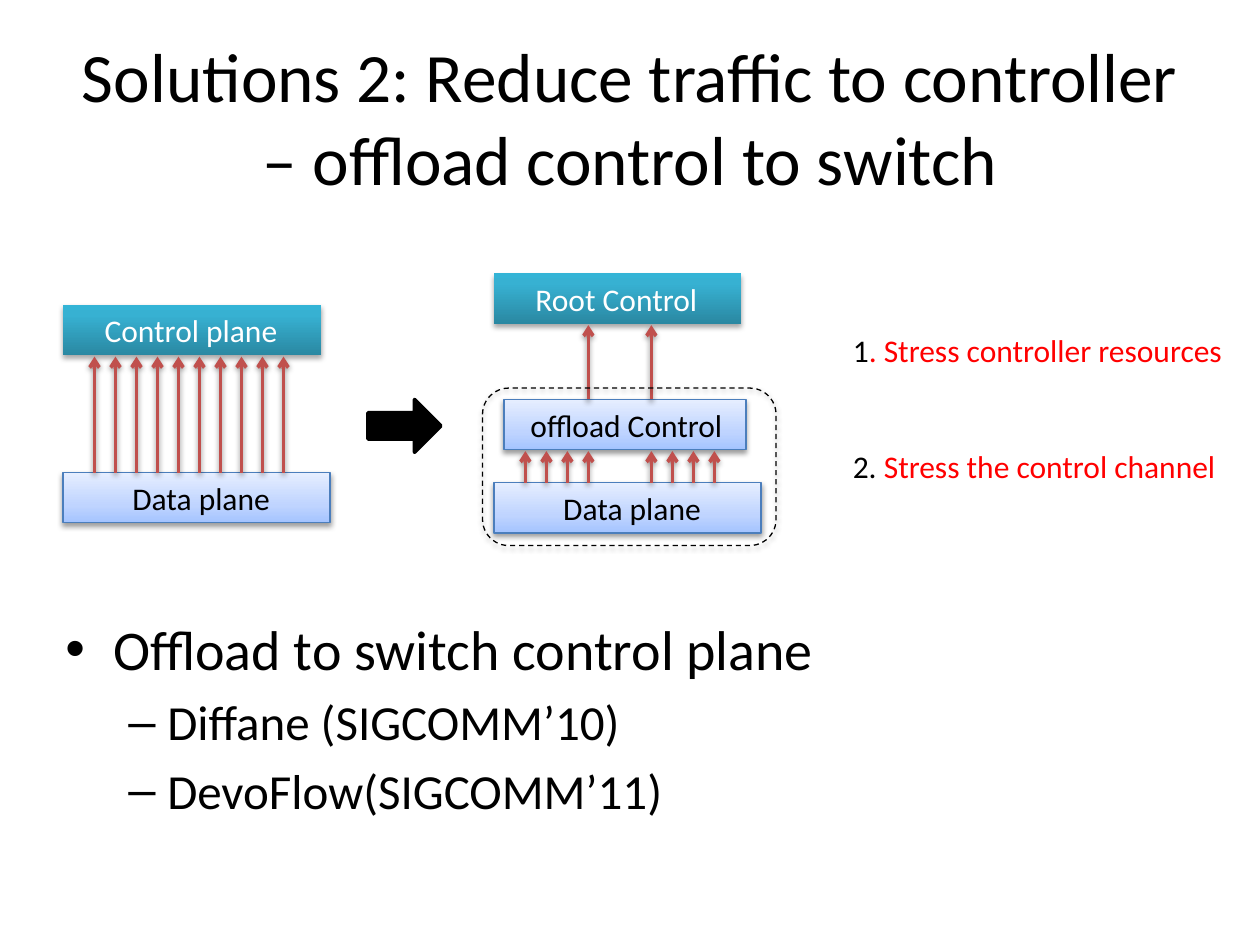
from dataclasses import dataclass

from lxml.etree import SubElement
from pptx import Presentation
from pptx.dml.color import RGBColor
from pptx.enum.dml import MSO_LINE
from pptx.enum.shapes import MSO_CONNECTOR, MSO_SHAPE
from pptx.enum.text import MSO_ANCHOR, PP_ALIGN
from pptx.oxml.ns import qn
from pptx.util import Inches, Pt


@dataclass(frozen=True)
class Theme:
    font: str = "Calibri"
    black: str = "000000"
    white: str = "FFFFFF"
    red: str = "FF0000"
    arrow: str = "C0504D"
    border: str = "4B7EBC"
    title: float = 39.6
    bullet: float = 32
    sub_bullet: float = 28
    label: float = 18


THEME = Theme()


@dataclass(frozen=True)
class PlaneStyle:
    stops: tuple
    text: str
    border: str | None
    shadow_opacity: int
    shadow_distance: float


@dataclass(frozen=True)
class Plane:
    label: str
    left: float
    top: float
    width: float
    indent: float
    style: PlaneStyle


@dataclass(frozen=True)
class ArrowRow:
    first: float
    count: int
    start: float
    end: float
    gap: float = 1 / 6


@dataclass(frozen=True)
class Bullet:
    text: str
    level: int
    mark: str
    margin: float
    hanging: float
    size: float


@dataclass(frozen=True)
class Problem:
    number: str
    text: str
    top: float


CONTROL = PlaneStyle(((0, "2A88A2"), (80, "37B1D2"), (100, "34B4D6")), THEME.white, None, 35, 1.8)
DATA = PlaneStyle(((0, "A4C4FF"), (35, "BFD4FF"), (100, "E6EEFF")), THEME.black, THEME.border, 38, 1.6)

PLANES = (
    Plane("Data plane", 0.5, 3.75, 2.12, 0.55, DATA),
    Plane("Control plane", 0.5, 2.42, 2.05, 0.33, CONTROL),
    Plane("Data plane", 3.92, 3.83, 2.12, 0.55, DATA),
    Plane("Root Control", 3.92, 2.17, 1.96, 0.33, CONTROL),
    Plane("offload Control", 4, 3.17, 1.92, 0.21, DATA),
)
ARROW_ROWS = (
    ArrowRow(0.75, 10, 3.75, 2.83),
    ArrowRow(4.17, 4, 3.83, 3.58),
    ArrowRow(5.17, 4, 3.83, 3.58),
    ArrowRow(4.67, 2, 3.17, 2.58, 0.5),
)
BULLETS = (
    Bullet("Offload to switch control plane", 0, "•", 0.38, 0.38, THEME.bullet),
    Bullet("Diffane (SIGCOMM’10)", 1, "–", 0.81, 0.31, THEME.sub_bullet),
    Bullet("DevoFlow(SIGCOMM’11)", 1, "–", 0.81, 0.31, THEME.sub_bullet),
)
PROBLEMS = (
    Problem("1", ". Stress controller resources", 2.58),
    Problem("2. ", "Stress the control channel", 3.5),
)


def style_font(font, size: float, color: str = THEME.black) -> None:
    font.name = THEME.font
    font.size = Pt(size)
    font.color.rgb = RGBColor.from_string(color)


def add_color(parent, color: str):
    return SubElement(parent, qn("a:srgbClr"), val=color)


def add_shadow(shape, opacity: int = 38, distance: float = 1.6) -> None:
    properties = shape._element.spPr
    for effects in properties.findall(qn("a:effectLst")):
        properties.remove(effects)
    effects = SubElement(properties, qn("a:effectLst"))
    shadow = SubElement(effects, qn("a:outerShdw"), blurRad=str(Pt(3.1)),
                        dist=str(Pt(distance)), dir="5400000", rotWithShape="0")
    SubElement(add_color(shadow, THEME.black), qn("a:alpha"), val=str(opacity * 1000))


def set_gradient(shape, stops: tuple) -> None:
    shape.fill.gradient()
    shape.fill.gradient_angle = 90
    stop_list = shape._element.spPr.find(f".//{qn('a:gsLst')}")
    for stop in list(stop_list):
        stop_list.remove(stop)
    for position, color in stops:
        add_color(SubElement(stop_list, qn("a:gs"), pos=str(position * 1000)), color)


def add_outlined(slide, kind, left: float, top: float, width: float, height: float,
                 border: str | None, weight: float = 0.75):
    shape = slide.shapes.add_shape(kind, Inches(left), Inches(top), Inches(width), Inches(height))
    shape.shadow.inherit = False
    if border:
        shape.line.color.rgb = RGBColor.from_string(border)
        shape.line.width = Pt(weight)
    else:
        shape.line.fill.background()
    return shape


def draw_plane(slide, plane: Plane) -> None:
    style = plane.style
    box = add_outlined(slide, MSO_SHAPE.RECTANGLE, plane.left, plane.top, plane.width, 0.4, style.border)
    set_gradient(box, style.stops)
    add_shadow(box, style.shadow_opacity, style.shadow_distance)
    frame = box.text_frame
    frame.margin_left, frame.margin_right = Inches(plane.indent), Inches(0.05)
    frame.vertical_anchor = MSO_ANCHOR.TOP
    frame.word_wrap = True
    frame.text = plane.label
    frame.paragraphs[0].alignment = PP_ALIGN.LEFT
    style_font(frame.paragraphs[0].runs[0].font, THEME.label, style.text)


def draw_arrows(slide, row: ArrowRow) -> None:
    for index in range(row.count):
        x = Inches(row.first + index * row.gap)
        arrow = slide.shapes.add_connector(MSO_CONNECTOR.STRAIGHT, x, Inches(row.start), x, Inches(row.end))
        arrow.line.color.rgb = RGBColor.from_string(THEME.arrow)
        arrow.line.width = Pt(2)
        SubElement(arrow.line._get_or_add_ln(), qn("a:tailEnd"), type="arrow")
        add_shadow(arrow)


def add_text(slide, left: float, top: float, width: float, height: float, wrap: bool = True):
    box = slide.shapes.add_textbox(Inches(left), Inches(top), Inches(width), Inches(height))
    box.text_frame.word_wrap = wrap
    return box.text_frame


def draw_title(slide) -> None:
    frame = add_text(slide, 0.5, 0.3, 9, 1.25)
    frame.vertical_anchor = MSO_ANCHOR.MIDDLE
    frame.text = "Solutions 2: Reduce traffic to controller – offload control to switch"
    frame.paragraphs[0].alignment = PP_ALIGN.CENTER
    style_font(frame.paragraphs[0].runs[0].font, THEME.title)


def draw_bullets(slide) -> None:
    frame = add_text(slide, 0.42, 4.83, 9, 2)
    frame.text = "\n".join(bullet.text for bullet in BULLETS)
    for index, (paragraph, bullet) in enumerate(zip(frame.paragraphs, BULLETS)):
        paragraph.level = bullet.level
        paragraph.space_before = Pt(bullet.size * 0.2 if index else 0)
        properties = paragraph._p.get_or_add_pPr()
        properties.set("marL", str(Inches(bullet.margin)))
        properties.set("indent", str(-Inches(bullet.hanging)))
        SubElement(properties, qn("a:buFont"), typeface="Arial")
        SubElement(properties, qn("a:buChar"), char=bullet.mark)
        style_font(paragraph.runs[0].font, bullet.size)


def draw_problem(slide, problem: Problem) -> None:
    paragraph = add_text(slide, 6.67, problem.top, 3.16, 0.4, wrap=False).paragraphs[0]
    for text, color in ((problem.number, THEME.black), (problem.text, THEME.red)):
        run = paragraph.add_run()
        run.text = text
        style_font(run.font, THEME.label, color)


def main() -> None:
    deck = Presentation()
    deck.slide_width, deck.slide_height = Inches(10), Inches(7.5)
    slide = deck.slides.add_slide(deck.slide_layouts[6])
    draw_title(slide)
    draw_bullets(slide)
    for plane in PLANES:
        draw_plane(slide, plane)
    for row in ARROW_ROWS:
        draw_arrows(slide, row)
    for problem in PROBLEMS:
        draw_problem(slide, problem)
    transition = add_outlined(slide, MSO_SHAPE.RIGHT_ARROW, 2.92, 3.17, 0.58, 0.42, THEME.black, 2)
    transition.fill.solid()
    transition.fill.fore_color.rgb = RGBColor.from_string(THEME.black)
    switch = add_outlined(slide, MSO_SHAPE.ROUNDED_RECTANGLE, 3.83, 3.08, 2.33, 1.25, THEME.black)
    switch.fill.background()
    switch.line.dash_style = MSO_LINE.DASH
    add_shadow(switch)
    deck.save("out.pptx")


if __name__ == "__main__":
    main()
